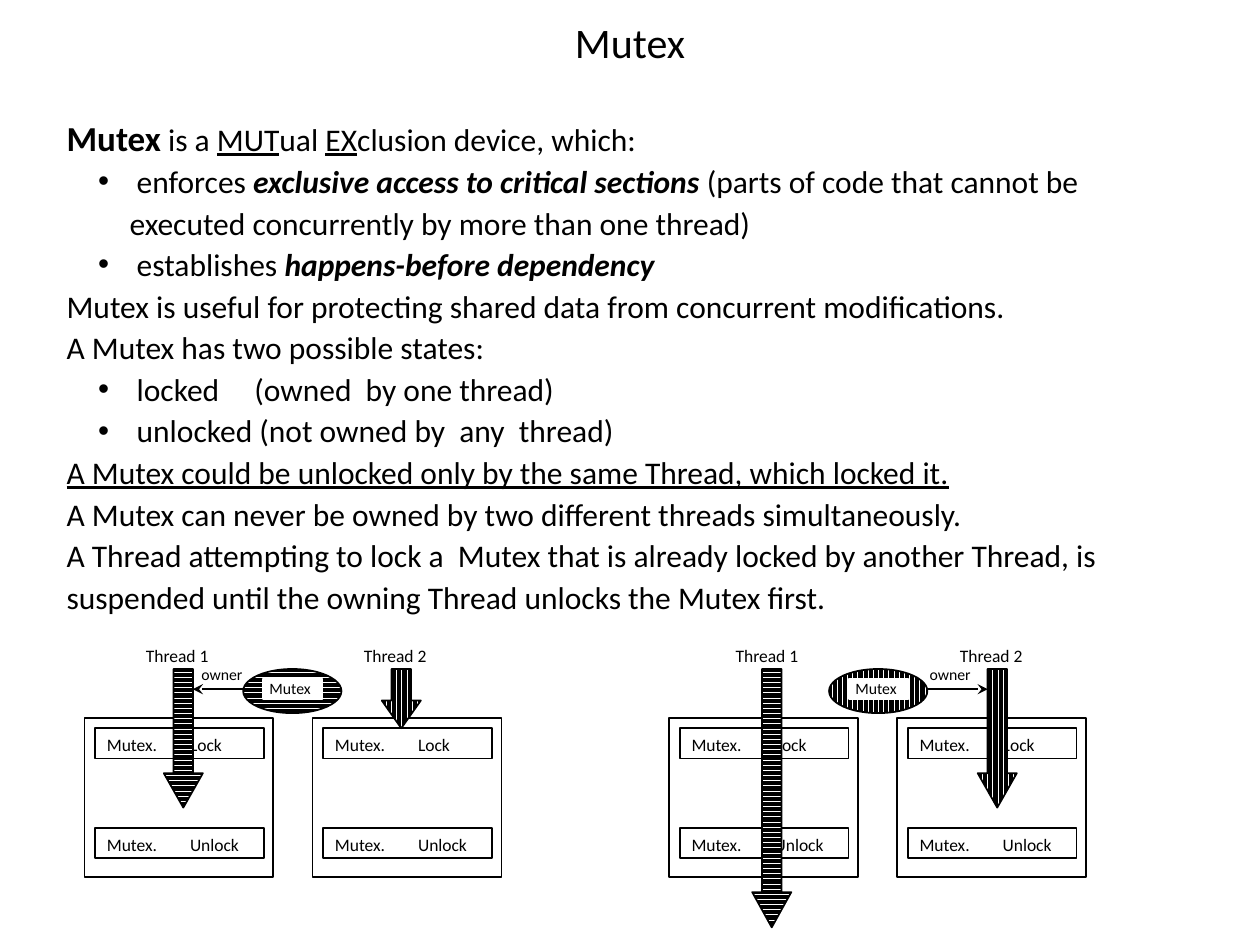
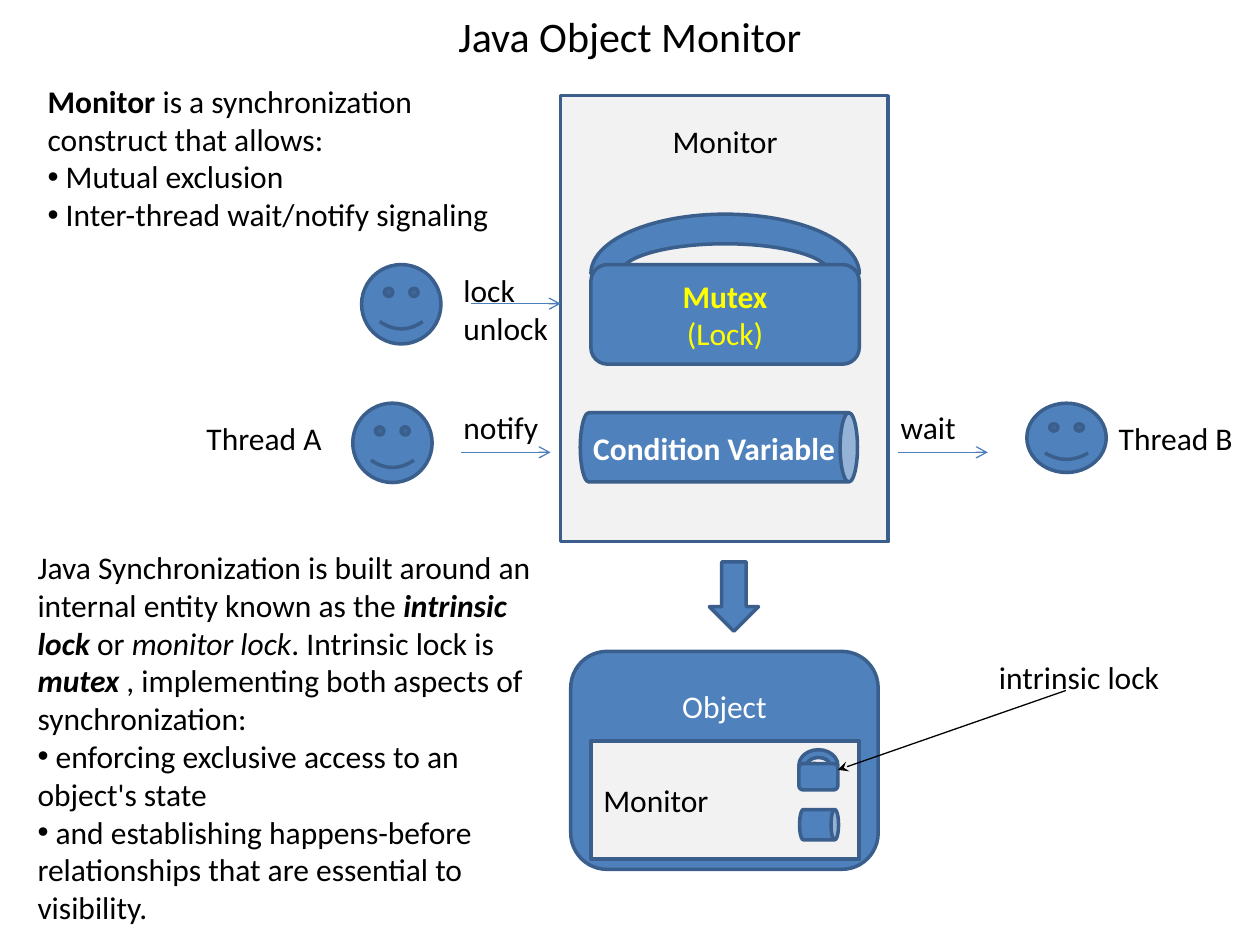
import pptx
import pptx.util
import pptx.dml.color
import pptx.enum.dml
import pptx.enum.shapes
import pptx.enum.text
import pptx.oxml.ns
import lxml.etree

prs = pptx.Presentation()
prs.slide_width = pptx.util.Inches(10)
prs.slide_height = pptx.util.Inches(7.5)

# Grid: 100 columns by 75 rows of square cells
U = prs.slide_width / 100
BLACK, WHITE, YELLOW = "000000", "FFFFFF", "FFFF00"
BLUE, EDGE, PALE, ARROW = "4F81BD", "3A5F8C", "F2F2F2", "4B7EBC"

rgb = pptx.dml.color.RGBColor.from_string
qn = pptx.oxml.ns.qn
SH = pptx.enum.shapes.MSO_SHAPE
PAT = pptx.enum.dml.MSO_PATTERN
ALIGN = pptx.enum.text.PP_ALIGN
ANCHOR = pptx.enum.text.MSO_ANCHOR


def add(s, at, text=(), kind=None, fill=None, pattern=None, line=EDGE, width=2,
        size=18, color=BLACK, align=ALIGN.LEFT, anchor=ANCHOR.TOP, top=0.5,
        spacing=None, indent=(0, 0), tab=None, rot=0, adj=()):
    """Draw a text box, or a shape if kind is given. A paragraph is a string
    or a list of (text, "biu" flags[, size]); a leading • makes it a bullet."""
    x, y, w, h = [round(v * U) for v in at]
    if kind is None:
        sp = s.shapes.add_textbox(x, y, w, h)
    else:
        sp = s.shapes.add_shape(kind, x, y, w, h)
        sp.shadow.inherit = False
        sp.rotation = rot
        for i, value in enumerate(adj):
            sp.adjustments[i] = value
        if pattern is not None:
            sp.fill.patterned()
            sp.fill.pattern = pattern
            sp.fill.fore_color.rgb = rgb(BLACK)
            sp.fill.back_color.rgb = rgb(WHITE)
        else:
            sp.fill.solid()
            sp.fill.fore_color.rgb = rgb(fill)
        sp.line.color.rgb = rgb(line)
        sp.line.width = pptx.util.Pt(width)
    tf = sp.text_frame
    tf.word_wrap = True
    tf.vertical_anchor = anchor
    tf.margin_top = round(top * U)
    for i, runs in enumerate([text] if isinstance(text, str) else text):
        p = tf.paragraphs[0] if i == 0 else tf.add_paragraph()
        p.alignment = align
        if spacing:
            p.line_spacing = spacing
        runs = [(runs, "")] if isinstance(runs, str) else runs
        pPr = p._p.get_or_add_pPr()
        if runs[0][0].startswith("•"):
            pPr.set("marL", str(round(indent[0] * U)))
            pPr.set("indent", str(round(indent[1] * U)))
            lxml.etree.SubElement(pPr, qn("a:buFont"), typeface="Arial")
            lxml.etree.SubElement(pPr, qn("a:buChar"), char="•")
        if tab and any("\t" in run[0] for run in runs):
            tabs = lxml.etree.SubElement(pPr, qn("a:tabLst"))
            lxml.etree.SubElement(tabs, qn("a:tab"), pos=str(round(tab * U)), algn="l")
        for t, flags, *own_size in runs:
            r = p.add_run()
            r.text = t.removeprefix("•")
            r.font.name = "Calibri"
            r.font.size = pptx.util.Pt(own_size[0] if own_size else size)
            r.font.color.rgb = rgb(color)
            r.font.bold = "b" in flags
            r.font.italic = "i" in flags
            r.font.underline = "u" in flags
    return sp


def arrow(s, x1, y1, x2, y2, head, color=BLACK, width=0.75):
    ends = [round(v * U) for v in (x1, y1, x2, y2)]
    c = s.shapes.add_connector(pptx.enum.shapes.MSO_CONNECTOR.STRAIGHT, *ends)
    c.line.color.rgb = rgb(color)
    c.line.width = pptx.util.Pt(width)
    lxml.etree.SubElement(c.line._get_or_add_ln(), qn("a:tailEnd"), type=head)
    lxml.etree.SubElement(c._element.spPr, qn("a:effectLst"))


# Slides and their titles
slides = []
for title, y, h in [("Mutex", 0.6, 5.4), ("Java Object Monitor", 0, 5.7)]:
    s = prs.slides.add_slide(prs.slide_layouts[6])
    add(s, (5, y, 90, h), title, size=24, align=ALIGN.CENTER, anchor=ANCHOR.MIDDLE)
    slides.append(s)
mutex, monitor = slides

# Mutex: code panels, each with its thread arrow
H, V = PAT.DARK_HORIZONTAL, PAT.DARK_VERTICAL
threads = [  # panel x, name, label x, arrow x, arrow height, head, pattern
    (6.7, "Thread 1", 10.6, 13, 11, 0.88, H),
    (24.8, "Thread 2", 27.9, 30.3, 4.7, 0.71, V),
    (53.1, "Thread 1", 57.4, 59.7, 20.5, 0.9, H),
    (71.2, "Thread 2", 75.2, 77.6, 11, 0.88, V),
]
for x, name, label_x, arrow_x, arrow_h, head, pattern in threads:
    add(mutex, (x, 57, 15, 12.6), kind=SH.RECTANGLE, fill=WHITE, line=BLACK, width=1)
    for y, call in [(57.8, "Lock"), (65.7, "Unlock")]:
        add(mutex, (x + 0.85, y, 13.4, 2.4), kind=SH.RECTANGLE,
            fill=WHITE, line=BLACK, width=1)
        add(mutex, (x + 0.8, y, 16.5, 2.7), "Mutex.\t" + call, size=10, tab=6.6)
    add(mutex, (arrow_x, 53.1, 3.1, arrow_h), kind=SH.DOWN_ARROW, pattern=pattern,
        line=BLACK, width=1, adj=(0.5, head))
    add(mutex, (label_x, 50.7, 9.5, 2.7), name, size=10)

# Mutex: the device and the thread that owns it
owners = [  # ellipse x, pattern, owner label x, arrow start and end
    (19.3, H, 15, 19.3, 15.3),
    (65.8, V, 72.8, 73.6, 78.4),
]
for x, pattern, label_x, start, end in owners:
    add(mutex, (x, 53.1, 7.8, 3.5), kind=SH.OVAL, pattern=pattern, line=BLACK, width=1)
    add(mutex, (x + 1.6, 53.9, 4.7, 1.6), kind=SH.RECTANGLE,
        fill=WHITE, line=WHITE, width=1)
    add(mutex, (x + 1.1, 53.4, 6.3, 2.5), "Mutex", size=9)
    arrow(mutex, start, 54.7, end, 54.7, "stealth", width=1)
    add(mutex, (label_x, 52.3, 6.3, 2.5), "owner", size=9)

# Mutex: explanation
add(mutex, (4.3, 8.4, 89.8, 41.4), [
    [("Mutex", "b", 20), (" is a ", ""), ("MUT", "u"), ("ual ", ""), ("EX", "u"),
     ("clusion device, which:", "")],
    [("• enforces ", ""), ("exclusive access to critical sections ", "bi"),
     ("(parts of code that cannot be executed concurrently by more than one thread)", "")],
    [("• establishes ", ""), ("happens-before dependency", "bi")],
    "Mutex is useful for protecting shared data from concurrent modifications.",
    "A Mutex has two possible states:",
    "• locked\t(owned  by one thread)",
    "• unlocked (not owned by  any  thread)",
    [("A Mutex could be unlocked only by the same Thread, which locked it.", "u")],
    "A Mutex can never be owned by two different threads simultaneously.",
    "A Thread attempting to lock a  Mutex that is already locked by another Thread, "
    "is suspended until the owning Thread unlocks the Mutex first.",
], spacing=1.1, indent=(5, -2.5), tab=14.9)

# Monitor: frame with lock and condition variable
add(monitor, (44.5, 7.6, 26, 35.4), kind=SH.RECTANGLE, fill=PALE)
add(monitor, (46.9, 9.2, 21.3, 4), "Monitor", align=ALIGN.CENTER)
add(monitor, (54.3, 24.5, 5.5, 22), kind=SH.CAN, fill=BLUE, rot=90)
add(monitor, (46.1, 33.6, 22.8, 4), [[("Condition Variable", "b")]], color=WHITE)
add(monitor, (46.9, 17, 21.3, 9.4), kind=SH.BLOCK_ARC, fill=BLUE)
add(monitor, (46.9, 21, 21.3, 7.9), [[("Mutex", "b")], "(Lock)"],
    kind=SH.ROUNDED_RECTANGLE, fill=BLUE, color=YELLOW,
    align=ALIGN.CENTER, anchor=ANCHOR.MIDDLE)

# Monitor: threads and their signals
for x, y, h in [(81.5, 32, 5.5), (28, 32, 6.3), (28.7, 21, 6.3)]:
    add(monitor, (x, y, 6.3, h), kind=SH.SMILEY_FACE, fill=BLUE)
for x, y in [(71.3, 35.9), (36.6, 35.9), (37.4, 24.1)]:
    arrow(monitor, x, y, x + 7.1, y, "arrow", color=ARROW)
labels = [
    (70.5, 31.9, 11, "wait"), (35.8, 31.9, 11, "notify"),
    (35.8, 21, 11, ["lock", "unlock"]),
    (15.4, 32.8, 14.2, "Thread A"), (87.8, 32.8, 12.2, "Thread B"),
    (78.3, 51.7, 17.3, "intrinsic lock"),
]
for x, y, w, text in labels:
    add(monitor, (x, y, w, 4), text)

# Monitor: object that holds a monitor
add(monitor, (56.3, 44.6, 3.9, 5.5), kind=SH.DOWN_ARROW, fill=BLUE)
add(monitor, (45.3, 51.7, 24.4, 17.3), "Object", kind=SH.ROUNDED_RECTANGLE,
    fill=BLUE, color=WHITE, align=ALIGN.CENTER, top=2)
add(monitor, (46.9, 58.8, 21.3, 9.4), "Monitor", kind=SH.RECTANGLE, fill=PALE,
    anchor=ANCHOR.MIDDLE)
add(monitor, (63.4, 59.5, 3.1, 2.5), kind=SH.BLOCK_ARC, fill=BLUE)
add(monitor, (63.4, 60.6, 3.1, 2.1), kind=SH.ROUNDED_RECTANGLE, fill=BLUE)
add(monitor, (63.8, 63.9, 2.4, 3.1), kind=SH.CAN, fill=BLUE, rot=90)
arrow(monitor, 84.6, 54.8, 66.5, 61.1, "stealth")

# Monitor: explanation
add(monitor, (2, 43, 41.7, 31.3), [
    [("Java Synchronization is built around an internal entity known as the ", ""),
     ("intrinsic lock", "bi"), (" or ", ""), ("monitor lock", "i"),
     (". Intrinsic lock is ", ""), ("mutex", "bi"),
     (" , implementing both aspects of synchronization:", "")],
    "• enforcing exclusive access to an object's state",
    "• and establishing happens-before relationships that are essential to visibility.",
])
add(monitor, (2.8, 6, 38.6, 13.1), [
    [("Monitor", "b"), (" is a synchronization construct that allows:", "")],
    "• Mutual exclusion",
    "• Inter-thread wait/notify signaling",
])

prs.save("out.pptx")
